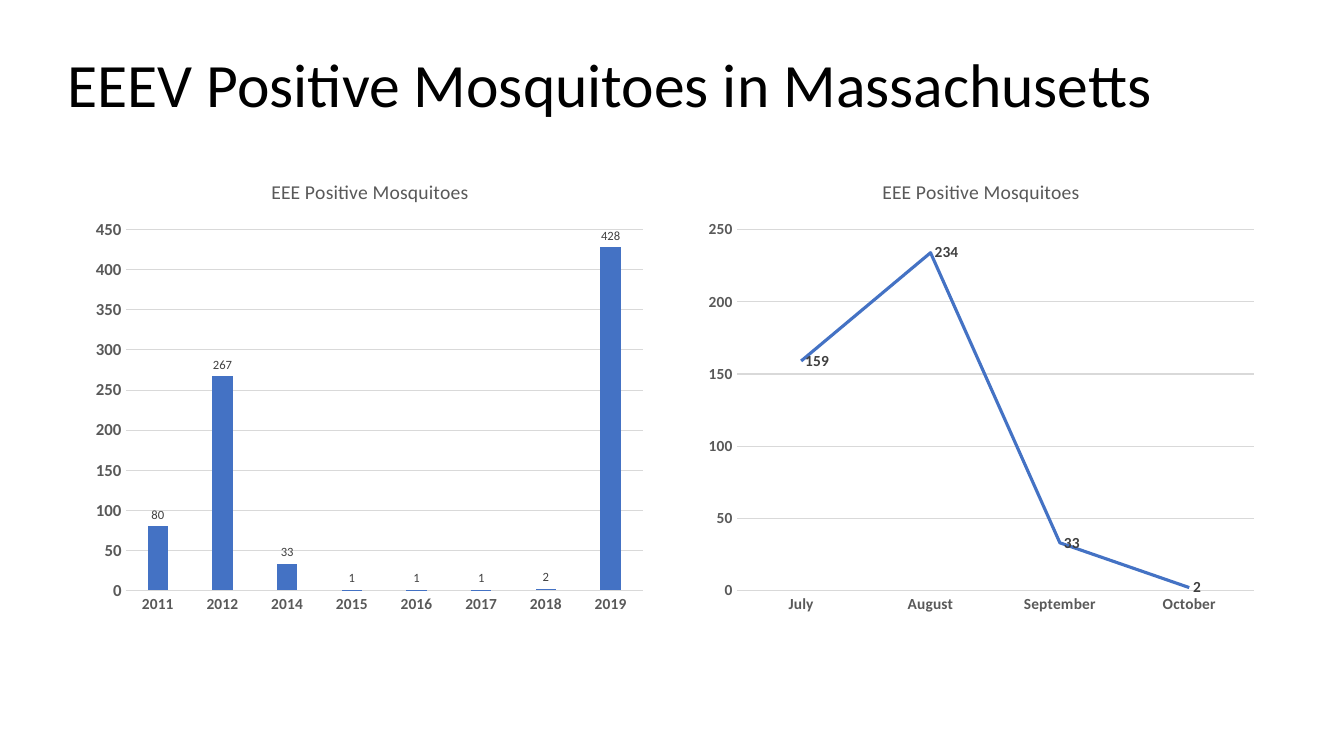
from dataclasses import dataclass

from lxml import etree
from pptx import Presentation
from pptx.chart.data import CategoryChartData
from pptx.dml.color import RGBColor
from pptx.enum.chart import XL_CHART_TYPE, XL_LABEL_POSITION, XL_MARKER_STYLE, XL_TICK_MARK
from pptx.enum.text import MSO_ANCHOR
from pptx.oxml.ns import qn
from pptx.util import Inches, Pt

COLUMN, LINE = XL_CHART_TYPE.COLUMN_CLUSTERED, XL_CHART_TYPE.LINE
OUTSIDE, RIGHT = XL_LABEL_POSITION.OUTSIDE_END, XL_LABEL_POSITION.RIGHT
NO_MARKER = XL_MARKER_STYLE.NONE
NO_TICK = XL_TICK_MARK.NONE
MIDDLE = MSO_ANCHOR.MIDDLE

SLIDE_W, SLIDE_H = 13.33, 7.5
TITLE_BOX = (0.57, 0.14, 11.85, 1.45)
CHART_LEFT, CHART_TOP, CHART_W, CHART_H = 0.85, 1.59, 5.64, 4.59
CHART_PITCH = 6.06
PLOT_SHARES = {"x": 0.07, "y": 0.15, "w": 0.91, "h": 0.78}


@dataclass(frozen=True)
class Theme:
    font: str = "Calibri"
    ink: str = "000000"
    muted: str = "595959"
    label: str = "404040"
    grid: str = "D9D9D9"
    accent: str = "4472C4"
    title: int = 44
    chart_title: int = 14
    base: int = 10
    axis: int = 11
    big_axis: int = 12
    small_label: int = 9
    hairline: float = 0.75
    series_line: float = 2.25


THEME = Theme()


def style_font(font, size, color, bold=False):
    font.name = THEME.font
    font.size = Pt(size)
    font.bold = bold
    font.color.rgb = RGBColor.from_string(color)


def style_line(line, color, width):
    line.color.rgb = RGBColor.from_string(color)
    line.width = Pt(width)


def write(tf, text, size, color, bold=False, spacing=None):
    p = tf.paragraphs[0]
    p.line_spacing = spacing
    r = p.add_run()
    r.text = text
    style_font(r.font, size, color, bold)


def add_title(s, box, text):
    tf = s.shapes.add_textbox(*map(Inches, box)).text_frame
    tf.word_wrap = True
    tf.vertical_anchor = MIDDLE
    write(tf, text, THEME.title, THEME.ink, spacing=0.9)


def place_plot(chart):
    plot_area = chart._chartSpace.chart.plotArea
    for old in plot_area.findall(qn("c:layout")):
        plot_area.remove(old)
    layout = etree.Element(qn("c:layout"))
    manual = etree.SubElement(layout, qn("c:manualLayout"))
    settings = {"layoutTarget": "inner", "xMode": "edge", "yMode": "edge", **PLOT_SHARES}
    for tag, value in settings.items():
        etree.SubElement(manual, qn(f"c:{tag}"), val=str(value))
    plot_area.insert(0, layout)


def style_axes(chart, top, value_size):
    cat, val = chart.category_axis, chart.value_axis
    for axis, size in ((cat, THEME.axis), (val, value_size)):
        axis.major_tick_mark = axis.minor_tick_mark = NO_TICK
        style_font(axis.tick_labels.font, size, THEME.muted, True)
    style_line(cat.format.line, THEME.grid, THEME.hairline)
    val.format.line.fill.background()
    val.has_major_gridlines = True
    style_line(val.major_gridlines.format.line, THEME.grid, THEME.hairline)
    val.minimum_scale, val.maximum_scale, val.major_unit = 0, top, 50


def add_mosquito_chart(s, box, kind, counts, top, value_size, label_size, label_bold, label_place):
    data = CategoryChartData()
    data.categories = list(counts)
    data.add_series("Series 1", list(counts.values()))
    chart = s.shapes.add_chart(kind, *map(Inches, box), data).chart
    style_font(chart.font, THEME.base, THEME.ink)
    chart.has_legend = False
    chart.has_title = True
    write(chart.chart_title.text_frame, "EEE Positive Mosquitoes", THEME.chart_title, THEME.muted)
    chart.chart_title.include_in_layout = False
    place_plot(chart)
    style_axes(chart, top, value_size)

    plot = chart.plots[0]
    plot.vary_by_categories = False
    series = plot.series[0]
    if kind == COLUMN:
        plot.gap_width, plot.overlap = 219, -27
        series.format.fill.solid()
        series.format.fill.fore_color.rgb = RGBColor.from_string(THEME.accent)
    else:
        series.smooth = False
        series.marker.style = NO_MARKER
        style_line(series.format.line, THEME.accent, THEME.series_line)
    labels = series.data_labels
    labels.show_value = True
    labels.position = label_place
    style_font(labels.font, label_size, THEME.label, label_bold)


def main():
    prs = Presentation()
    prs.slide_width, prs.slide_height = Inches(SLIDE_W), Inches(SLIDE_H)
    s = prs.slides.add_slide(prs.slide_layouts[6])
    add_title(s, TITLE_BOX, "EEEV Positive Mosquitoes in Massachusetts")

    by_year = {"2011": 80, "2012": 267, "2014": 33, "2015": 1,
               "2016": 1, "2017": 1, "2018": 2, "2019": 428}
    by_month = {"July": 159, "August": 234, "September": 33, "October": 2}
    charts = (
        (COLUMN, by_year, 450, THEME.big_axis, THEME.small_label, False, OUTSIDE),
        (LINE, by_month, 250, THEME.axis, THEME.axis, True, RIGHT),
    )
    for i, chart in enumerate(charts):
        box = (CHART_LEFT + i * CHART_PITCH, CHART_TOP, CHART_W, CHART_H)
        add_mosquito_chart(s, box, *chart)
    prs.save("out.pptx")


if __name__ == "__main__":
    main()
